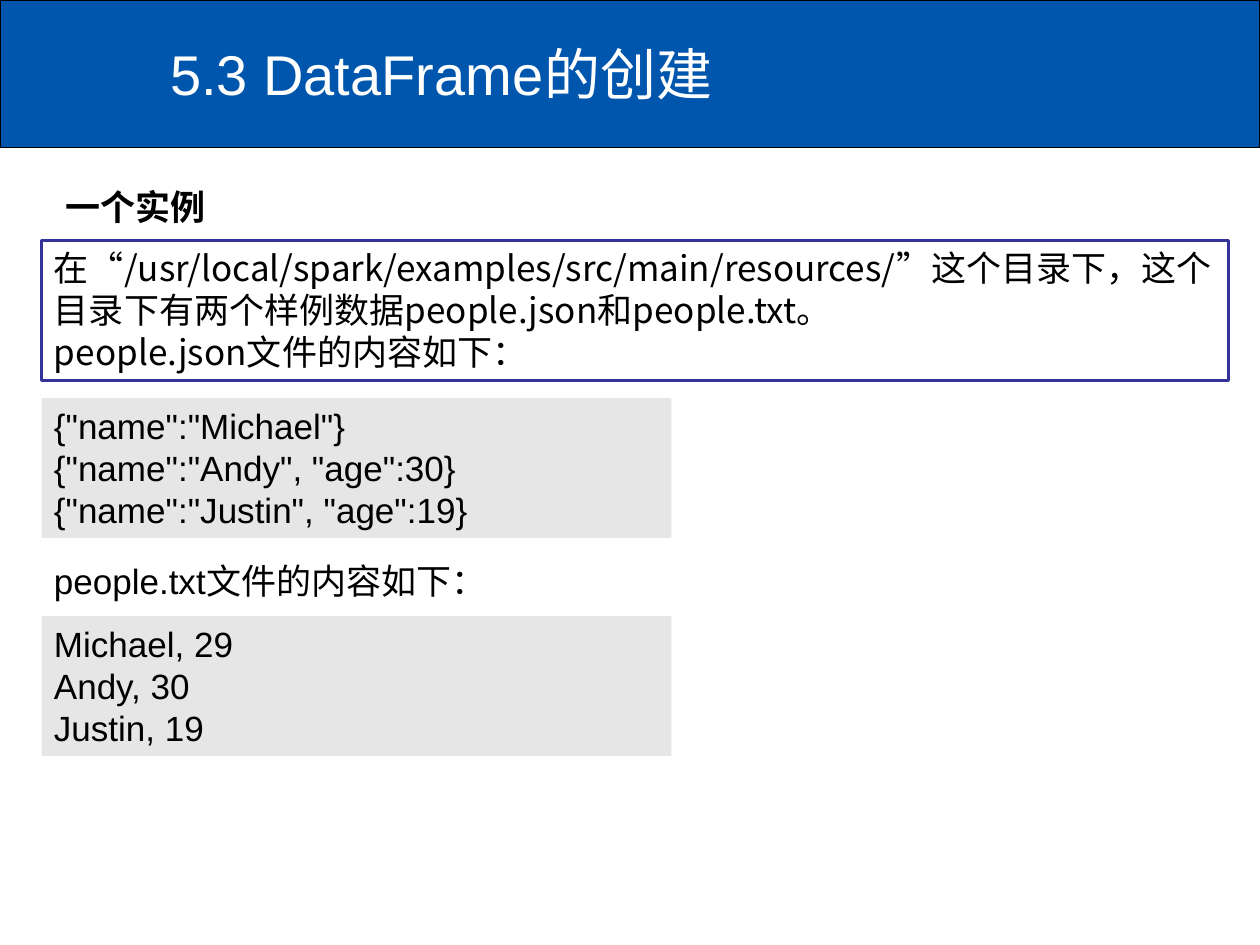
from lxml.etree import SubElement
from pptx import Presentation
from pptx.dml.color import RGBColor
from pptx.enum.shapes import MSO_SHAPE as Shape
from pptx.enum.text import MSO_ANCHOR as Anchor, MSO_AUTO_SIZE as Fit, PP_ALIGN as Align
from pptx.oxml.ns import qn
from pptx.util import Inches, Pt

LATIN, HAN = "Arial", "Noto Sans CJK SC"
LEFT, CODE_W, CODE_H = 0.33, 5, 1.11


def color(code):
    return RGBColor.from_string(code)


def add_run(par, text, size=20, font=LATIN, ink="000000", bold=False):
    run = par.add_run()
    run.text = text
    run.font.size = Pt(size)
    run.font.name = font
    run.font.bold = bold
    run.font.color.rgb = color(ink)
    SubElement(run.font._element, qn("a:ea")).set("typeface", HAN)


def place(shape, box):
    shape.left, shape.top, shape.width, shape.height = map(Inches, box)


def add_rect(slide, box, fill, line=None, width=1):
    rect = slide.shapes.add_shape(Shape.RECTANGLE, *map(Inches, box))
    rect.shadow.inherit = False
    rect.fill.solid()
    rect.fill.fore_color.rgb = color(fill)
    if line:
        rect.line.color.rgb = color(line)
        rect.line.width = Pt(width)
    else:
        rect.line.fill.background()
    return rect


def set_frame(shape, wrap=True):
    frame = shape.text_frame
    frame.word_wrap = wrap
    frame.auto_size = Fit.SHAPE_TO_FIT_TEXT
    frame.vertical_anchor = Anchor.TOP
    frame.paragraphs[0].alignment = Align.LEFT
    return frame


def add_header(slide, box, text):
    """Blue band with the title placeholder on top of it."""
    left, top, width, height = box
    band = add_rect(slide, box, "0056AC", "000000", 0.75)
    title = slide.shapes.title
    title._element.addprevious(band._element)
    place(title, (left + 1.25, top + 0.08, width - 1.25, height - 0.17))
    frame = title.text_frame
    frame.vertical_anchor = Anchor.MIDDLE
    par = frame.paragraphs[0]
    par.alignment = Align.LEFT
    add_run(par, text, 32, ink="FFFFFF")


def add_label(slide, box, text, bold=False):
    frame = set_frame(slide.shapes.add_textbox(*map(Inches, box)), wrap=False)
    add_run(frame.paragraphs[0], text, bold=bold)


def add_intro(slide, box, lines):
    """Outlined box whose lines share one paragraph."""
    par = set_frame(add_rect(slide, box, "FFFFFF", "333399", 2)).paragraphs[0]
    for i, line in enumerate(lines):
        if i:
            par.add_line_break()
        add_run(par, line, font=HAN)


def add_code(slide, box, lines):
    frame = set_frame(add_rect(slide, box, "E6E6E6"))
    for i, line in enumerate(lines):
        par = frame.add_paragraph() if i else frame.paragraphs[0]
        par.alignment = Align.LEFT
        add_run(par, line)


def main():
    deck = Presentation()
    deck.slide_width, deck.slide_height = Inches(10), Inches(7.5)
    slide = deck.slides.add_slide(deck.slide_layouts[5])

    add_header(slide, (0, 0, 10, 1.17), "5.3 DataFrame的创建")
    add_label(slide, (0.42, 1.42, 1.33, 0.44), "一个实例", bold=True)
    add_intro(slide, (LEFT, 1.91, 9.42, CODE_H), [
        "在“/usr/local/spark/examples/src/main/resources/”这个目录下，"
        "这个目录下有两个样例数据people.json和people.txt。",
        "people.json文件的内容如下：",
    ])
    add_code(slide, (LEFT, 3.16, CODE_W, CODE_H), [
        '{"name":"Michael"}',
        '{"name":"Andy", "age":30}',
        '{"name":"Justin", "age":19}',
    ])
    add_label(slide, (LEFT, 4.39, 3.66, 0.44), "people.txt文件的内容如下：")
    add_code(slide, (LEFT, 4.89, CODE_W, CODE_H),
             ["Michael, 29", "Andy, 30", "Justin, 19"])

    deck.save("out.pptx")


if __name__ == "__main__":
    main()
